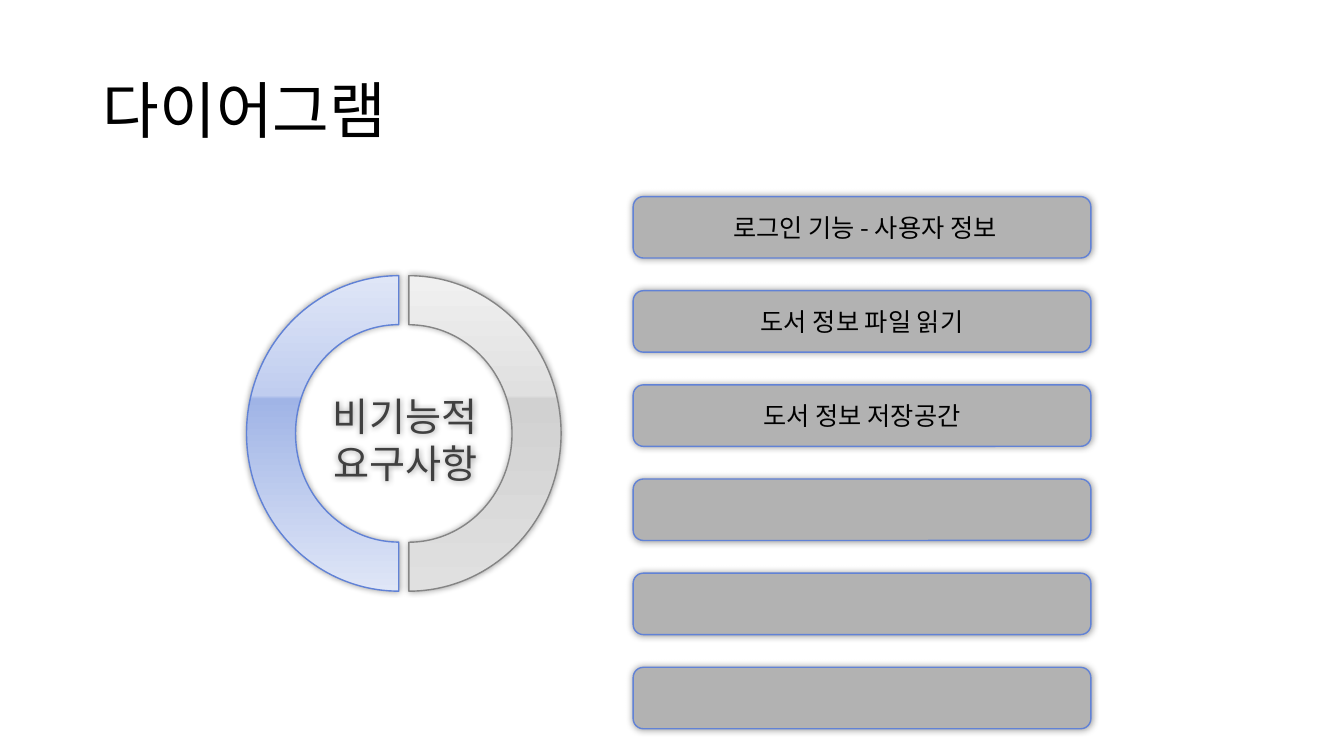
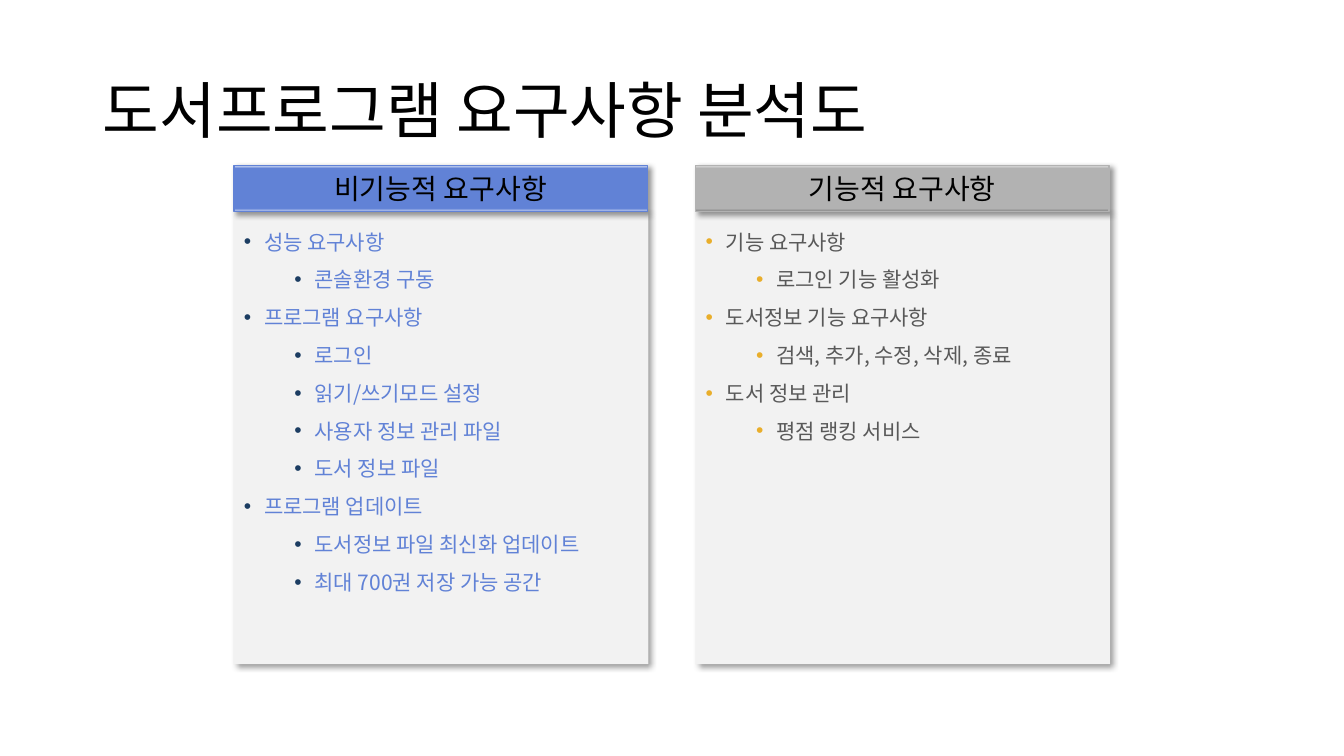
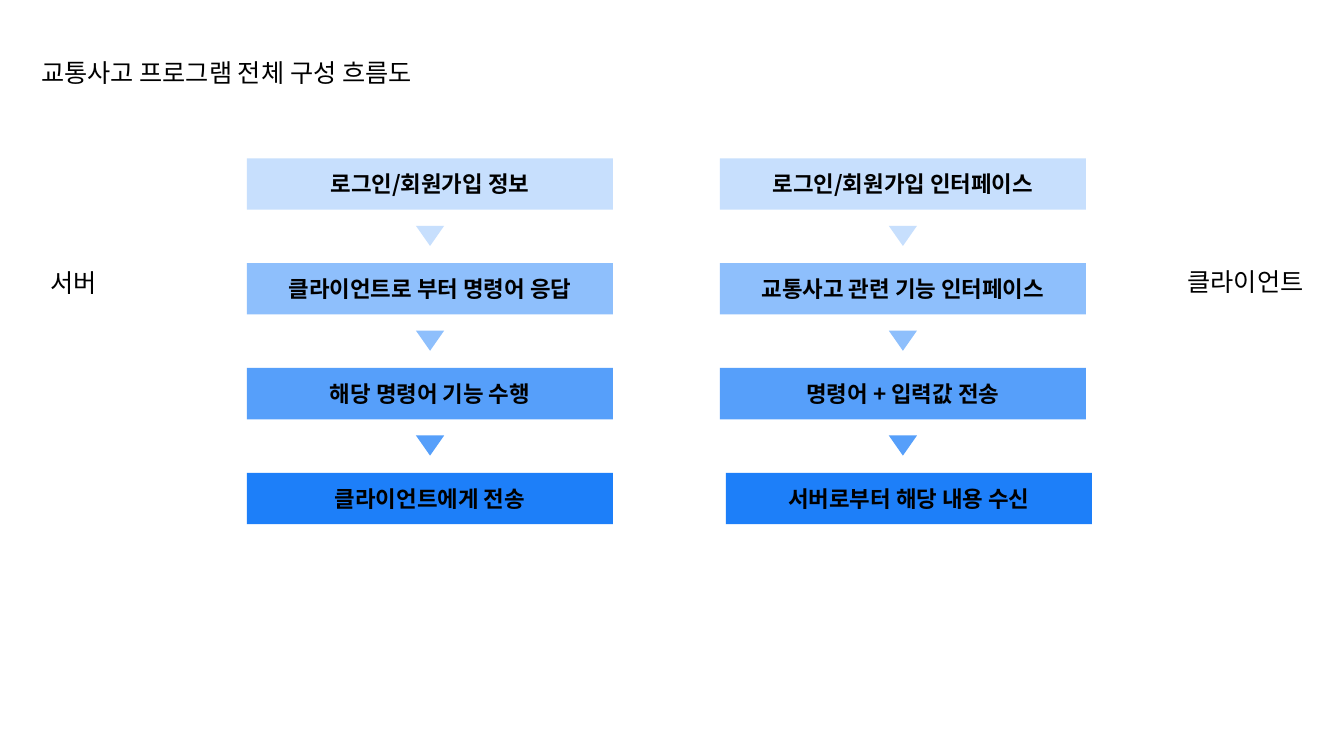
import pptx
import pptx.util
import pptx.dml.color
import pptx.enum.shapes
import pptx.enum.text
import pptx.oxml
import pptx.oxml.ns
from lxml import etree

Inches = pptx.util.Inches
Pt = pptx.util.Pt
RGBColor = pptx.dml.color.RGBColor
SHAPE = pptx.enum.shapes.MSO_SHAPE
ANCHOR = pptx.enum.text.MSO_ANCHOR
ALIGN = pptx.enum.text.PP_ALIGN
qn = pptx.oxml.ns.qn

# Shared style
FONT = "Noto Sans CJK KR"
BLACK = RGBColor(0x00, 0x00, 0x00)
BLUE = RGBColor(0x61, 0x82, 0xD6)
SOFT_BLUE = RGBColor(0xA0, 0xB4, 0xE6)
LIGHT_BLUE = RGBColor(0xC0, 0xCD, 0xEF)
PALE_BLUE = RGBColor(0xDF, 0xE6, 0xF7)
NAVY = RGBColor(0x1C, 0x3D, 0x62)
AMBER = RGBColor(0xE9, 0xAE, 0x2B)
GRAY = RGBColor(0xB2, 0xB2, 0xB2)
DARK_GRAY = RGBColor(0x85, 0x85, 0x85)
MID_GRAY = RGBColor(0xD1, 0xD1, 0xD1)
LIGHT_GRAY = RGBColor(0xE0, 0xE0, 0xE0)
PALE_GRAY = RGBColor(0xF0, 0xF0, 0xF0)
PANEL_GRAY = RGBColor(0xF2, 0xF2, 0xF2)
HUB_TEXT = RGBColor(0x40, 0x40, 0x40)
BODY_TEXT = RGBColor(0x59, 0x59, 0x59)
STEP_FILLS = (
    RGBColor(0xC7, 0xDF, 0xFD),
    RGBColor(0x8E, 0xBF, 0xFC),
    RGBColor(0x56, 0x9F, 0xFA),
    RGBColor(0x1D, 0x7F, 0xF9),
)
GLOW = (5, 0, 0)     # blur pt, distance pt, direction in degrees
DROP = (4, 3, 45)


def add_child(parent, tag, **attributes):
    values = {name: str(value) for name, value in attributes.items()}
    return etree.SubElement(parent, qn(tag), values)


def set_shadow(shape, shadow):
    shape.shadow.inherit = False
    if shadow:
        blur, distance, direction = shadow
        effects = shape._element.spPr.find(qn("a:effectLst"))
        outer = add_child(effects, "a:outerShdw", blurRad=Pt(blur), dist=Pt(distance),
                          dir=direction * 60000, algn="ctr", rotWithShape=0)
        color = add_child(outer, "a:srgbClr", val=BLACK)
        add_child(color, "a:alpha", val=40000)


def set_gradient(shape, stops, angle):
    shape.fill.gradient()
    gradient = shape._element.spPr.find(qn("a:gradFill"))
    for child in list(gradient):
        gradient.remove(child)
    stop_list = add_child(gradient, "a:gsLst")
    for position, color in stops:
        stop = add_child(stop_list, "a:gs", pos=position * 1000)
        add_child(stop, "a:srgbClr", val=color)
    add_child(gradient, "a:lin", ang=angle * 60000, scaled=0)


def add_block(shapes, kind, box, fill=None, line=None, shadow=None):
    shape = shapes.add_shape(kind, *map(Inches, box))
    if fill is not None:
        shape.fill.solid()
        shape.fill.fore_color.rgb = fill
    if line is None:
        shape.line.fill.background()
    else:
        shape.line.color.rgb = line
        shape.line.width = Pt(1)
    set_shadow(shape, shadow)
    return shape


def style_para(para, size, color, bold=False):
    for span in para.runs:
        span.font.size = Pt(size)
        span.font.bold = bold
        span.font.color.rgb = color
        span.font.name = FONT
        add_child(span.font._element, "a:ea", typeface=FONT)


def write(shape, text, size, color=BLACK, align=ALIGN.CENTER, anchor=ANCHOR.MIDDLE, bold=False):
    frame = shape.text_frame
    frame.word_wrap = True
    frame.vertical_anchor = anchor
    frame.text = text
    para = frame.paragraphs[0]
    para.alignment = align
    style_para(para, size, color, bold)
    return para


def add_label(shapes, box, text, size, **style):
    label = shapes.add_textbox(*map(Inches, box))
    write(label, text, size, **style)
    return label


def add_title(slide, text):
    title = add_label(slide.shapes, (0.92, 0.4, 11.5, 1.45), text, 44, align=ALIGN.LEFT)
    title.text_frame.paragraphs[0].line_spacing = 0.9


# Ring of two half arcs around a caption
def add_ring(slide, left, top, caption):
    shapes = slide.shapes.add_group_shape().shapes
    gray_stops = ((0, LIGHT_GRAY), (61, MID_GRAY), (62, LIGHT_GRAY), (100, PALE_GRAY))
    blue_stops = ((0, PALE_BLUE), (61, SOFT_BLUE), (62, LIGHT_BLUE), (100, PALE_BLUE))
    halves = (
        (0.1, "flipH", gray_stops, 0, DARK_GRAY),
        (0, "flipV", blue_stops, 180, BLUE),
    )
    for offset, flip, stops, angle, line in halves:
        arc = add_block(shapes, SHAPE.BLOCK_ARC, (left + offset, top, 3.13, 3.02),
                        line=line, shadow=GLOW)
        for index, value in enumerate((108, 0, 0.161)):
            arc.adjustments[index] = value
        arc.rotation = 90
        arc._element.spPr.find(qn("a:xfrm")).set(flip, "1")
        set_gradient(arc, stops, angle)
    hub = add_label(shapes, (left + 0.71, top + 1.05, 1.84, 1.04), caption, 28, color=HUB_TEXT)
    set_shadow(hub, GLOW)
    for span in hub.text_frame.paragraphs[0].runs:
        span.font._element.set("spc", "10")


# Column of rounded bars, evenly spread over the given height
def add_bars(slide, left, top, width, height, texts):
    bar_height = 0.61
    pitch = (height - bar_height) / (len(texts) - 1)
    for index, text in enumerate(texts):
        bar = add_block(slide.shapes, SHAPE.ROUNDED_RECTANGLE,
                        (left, top + index * pitch, width, bar_height), GRAY, BLUE, GLOW)
        if text:
            write(bar, text, 18)


# Panel with a gradient header and a two-level bullet list
def add_panel(slide, left, top, heading, stops, angle, line, items, color, bullet):
    header_height = 0.46
    body = add_block(slide.shapes, SHAPE.RECTANGLE, (left, top + header_height, 4.11, 4.49),
                     PANEL_GRAY, shadow=DROP)
    frame = body.text_frame
    frame.word_wrap = True
    frame.vertical_anchor = ANCHOR.TOP
    frame.text = "\n".join(text for level, text in items)
    for para, (level, text) in zip(frame.paragraphs, items):
        para.level = level
        para.alignment = ALIGN.LEFT
        para.line_spacing = 1.5
        style_para(para, 15, color)
        properties = para._p.get_or_add_pPr()
        properties.set("marL", str(Inches(0.2 + 0.5 * level)))
        properties.set("indent", str(Inches(-0.2)))
        add_child(add_child(properties, "a:buClr"), "a:srgbClr", val=bullet)
        add_child(properties, "a:buFont", typeface="Arial")
        add_child(properties, "a:buChar", char="•")
    header = add_block(slide.shapes, SHAPE.RECTANGLE, (left, top, 4.1, header_height),
                       line=line, shadow=DROP)
    set_gradient(header, stops, angle)
    write(header, heading, 20)


# Vertical flow: boxes with a triangle below each but the last
def add_flow(slide, left, top, texts, last_shift=0):
    width, height, pitch = 3.63, 0.51, 1.04
    last = len(texts) - 1
    for index, (text, fill) in enumerate(zip(texts, STEP_FILLS)):
        row = top + index * pitch
        shift = last_shift if index == last else 0
        step = add_block(slide.shapes, SHAPE.RECTANGLE, (left + shift, row, width, height), fill)
        write(step, text, 16, bold=True)
        if index < last:
            pointer = add_block(slide.shapes, SHAPE.ISOSCELES_TRIANGLE,
                                (left + (width - 0.28) / 2, row + 0.67, 0.28, 0.2), fill)
            pointer.rotation = 180


def build_diagram(slide):
    add_title(slide, "다이어그램")
    add_ring(slide, 2.39, 2.79, "비기능적 요구사항")
    add_bars(slide, 6.28, 1.95, 4.54, 5.28, (
        " 로그인 기능 - 사용자 정보", "도서 정보 파일 읽기", "도서 정보 저장공간", "", "", ""))


def build_requirements(slide):
    add_title(slide, "도서프로그램 요구사항 분석도")
    add_panel(
        slide, 2.32, 1.64, "비기능적 요구사항",
        ((0, PALE_BLUE), (7, BLUE), (93, BLUE), (100, LIGHT_BLUE)), 90, BLUE,
        (
            (0, "성능 요구사항"),
            (1, "콘솔환경 구동"),
            (0, "프로그램 요구사항"),
            (1, "로그인"),
            (1, "읽기/쓰기모드 설정"),
            (1, "사용자 정보 관리 파일"),
            (1, "도서 정보 파일"),
            (0, "프로그램 업데이트"),
            (1, "도서정보 파일 최신화 업데이트"),
            (1, "최대 700권 저장 가능 공간"),
        ), BLUE, NAVY)
    add_panel(
        slide, 6.9, 1.64, "기능적 요구사항",
        ((0, DARK_GRAY), (7, GRAY), (93, GRAY), (100, LIGHT_GRAY)), 270, GRAY,
        (
            (0, "기능 요구사항"),
            (1, "로그인 기능 활성화"),
            (0, "도서정보 기능 요구사항"),
            (1, "검색, 추가, 수정, 삭제, 종료"),
            (0, "도서 정보 관리"),
            (1, "평점 랭킹 서비스"),
        ), BODY_TEXT, AMBER)


def build_flowchart(slide):
    labels = (
        ((0.4, 2.6, 1.39, 0.4), "서버"),
        ((11.68, 2.59, 1.58, 0.4), "클라이언트"),
        ((0.31, 0.52, 4.42, 0.4), "교통사고 프로그램 전체 구성 흐름도"),
    )
    for box, text in labels:
        add_label(slide.shapes, box, text, 18, align=ALIGN.LEFT, anchor=ANCHOR.TOP)
    add_flow(slide, 2.45, 1.57, (
        "로그인/회원가입 정보", "클라이언트로 부터 명령어 응답",
        "해당 명령어 기능 수행", "클라이언트에게 전송"))
    add_flow(slide, 7.14, 1.57, (
        "로그인/회원가입 인터페이스", "교통사고 관련 기능 인터페이스",
        "명령어 + 입력값 전송", "서버로부터 해당 내용 수신"), last_shift=0.06)


def main():
    deck = pptx.Presentation()
    deck.slide_width = Inches(13.33)
    deck.slide_height = Inches(7.5)
    for build in (build_diagram, build_requirements, build_flowchart):
        build(deck.slides.add_slide(deck.slide_layouts[6]))
    deck.save("out.pptx")


if __name__ == "__main__":
    main()
